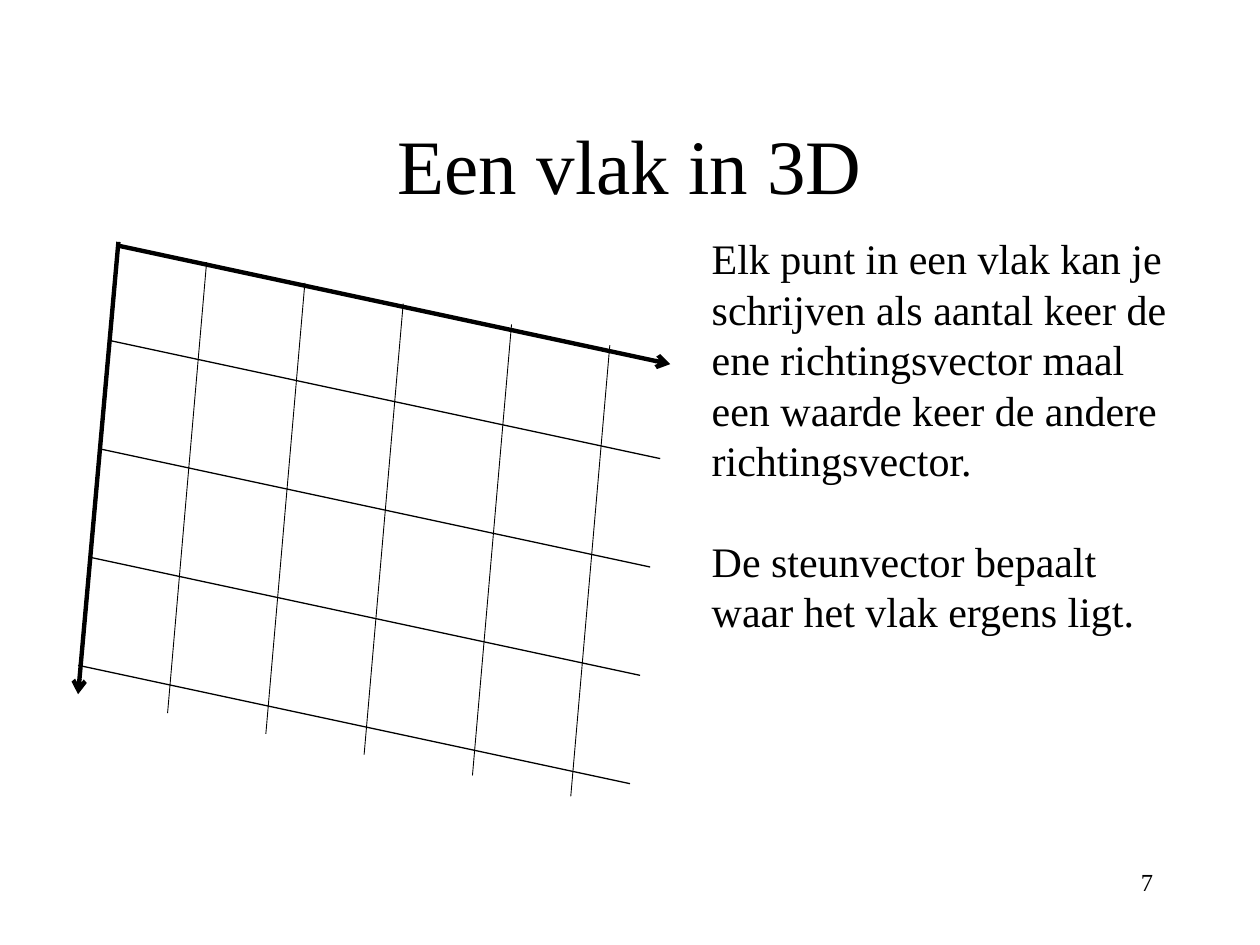
from dataclasses import dataclass

from lxml import etree
from pptx import Presentation
from pptx import util as u
from pptx.dml.color import RGBColor
from pptx.enum import shapes, text
from pptx.oxml.ns import qn

COLORS = {"ink": "000000", "paper": "FFFFFF"}
FONT = "Times New Roman"
ACROSS = (4.38, 0.94)
DOWN = (-0.31, 3.58)


@dataclass
class Vector:
    x: float
    y: float
    step: tuple[float, float]
    weight: float
    arrow: bool = False


@dataclass
class Label:
    left: float
    top: float
    width: float
    height: float
    paragraphs: list[str]
    size: float
    align: text.PP_ALIGN = text.PP_ALIGN.LEFT
    anchor: text.MSO_ANCHOR = text.MSO_ANCHOR.TOP
    pitch: float | None = None


def draw_vector(group, vector: Vector) -> None:
    end_x, end_y = vector.x + vector.step[0], vector.y + vector.step[1]
    line = group.shapes.add_connector(
        shapes.MSO_CONNECTOR.STRAIGHT,
        u.Inches(vector.x), u.Inches(vector.y), u.Inches(end_x), u.Inches(end_y))
    line.line.color.rgb = RGBColor.from_string(COLORS["ink"])
    line.line.width = u.Pt(vector.weight)
    if vector.arrow:
        etree.SubElement(line.line._get_or_add_ln(), qn("a:tailEnd"), type="arrow")
    etree.SubElement(line._element.spPr, qn("a:effectLst"))


def draw_label(page, label: Label) -> None:
    box = page.shapes.add_textbox(
        u.Inches(label.left), u.Inches(label.top),
        u.Inches(label.width), u.Inches(label.height))
    frame = box.text_frame
    frame.word_wrap = True
    frame.vertical_anchor = label.anchor
    for index, words in enumerate(label.paragraphs):
        para = frame.add_paragraph() if index else frame.paragraphs[0]
        para.text = words
        para.alignment = label.align
        para.font.name = FONT
        para.font.size = u.Pt(label.size)
        para.font.color.rgb = RGBColor.from_string(COLORS["ink"])
        if label.pitch:
            para.line_spacing = u.Pt(label.pitch)
            if index:
                para.space_before = u.Pt(label.pitch)


def main() -> None:
    deck = Presentation()
    deck.slide_width, deck.slide_height = u.Inches(10), u.Inches(7.5)
    page = deck.slides.add_slide(deck.slide_layouts[6])
    page.background.fill.solid()
    page.background.fill.fore_color.rgb = RGBColor.from_string(COLORS["paper"])

    draw_label(page, Label(0.75, 0.67, 8.5, 1.25, ["Een vlak in 3D"], 44,
                           text.PP_ALIGN.CENTER, text.MSO_ANCHOR.MIDDLE))
    draw_label(page, Label(7.17, 6.83, 2.08, 0.5, ["7"], 14, text.PP_ALIGN.RIGHT))

    axes = [Vector(0.94, 1.95, ACROSS, 2.5, True),
            Vector(0.94, 1.92, (-0.32, 3.59), 2.5, True)]
    columns = [Vector(x, 2.08 + 0.165 * index, DOWN, 0.5)
               for index, x in enumerate((1.64, 2.42, 3.2, 4.06, 4.84))]
    rows = [Vector(0.86 - 0.08 * index, 2.7 + 0.86 * index, ACROSS, 0.75)
            for index in range(4)]
    plane = page.shapes.add_group_shape()
    for vector in axes + columns + rows:
        draw_vector(plane, vector)

    draw_label(page, Label(5.55, 1.8, 3.98, 3.3, [
        "Elk punt in een vlak kan je schrijven als aantal keer de ene "
        "richtingsvector maal een waarde keer de andere richtingsvector.",
        "De steunvector bepaalt waar het vlak ergens ligt.",
    ], 24, pitch=28.8))

    deck.save("out.pptx")


if __name__ == "__main__":
    main()
